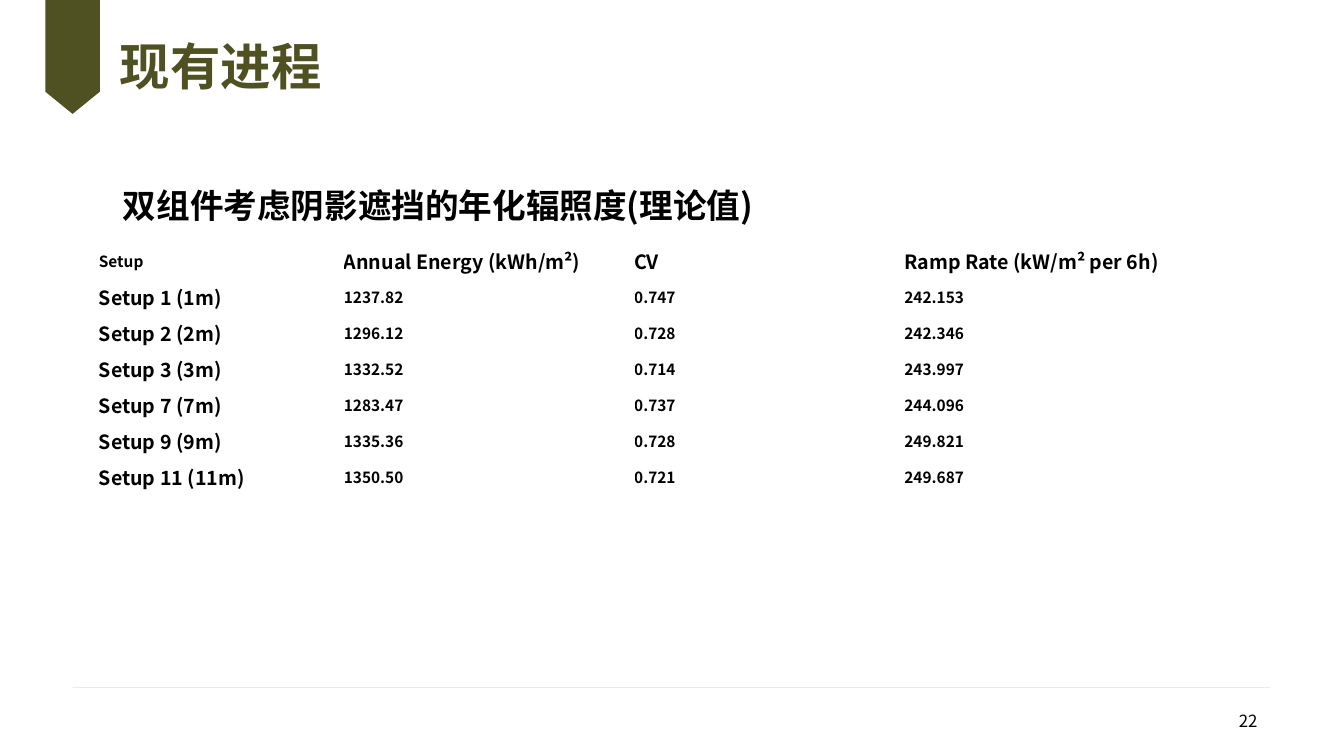
from lxml.etree import SubElement
from pptx import Presentation
from pptx.dml.color import RGBColor
from pptx.enum.shapes import MSO_CONNECTOR
from pptx.enum.text import MSO_ANCHOR, PP_ALIGN
from pptx.oxml.ns import qn
from pptx.util import Inches, Pt

FONT = "Noto Sans CJK SC"
COLORS = {"olive": "505122", "text": "000000", "rule": "BFBFBF"}


def rgb(name):
    return RGBColor.from_string(COLORS[name])


def write(tf, text, size=11, color="text", bold=True, align=PP_ALIGN.LEFT,
          anchor=MSO_ANCHOR.MIDDLE, spacing=None):
    tf.word_wrap = True
    tf.vertical_anchor = anchor
    p = tf.paragraphs[0]
    p.alignment = align
    if spacing:
        p.line_spacing = spacing
    r = p.add_run()
    r.text = text
    r.font.size = Pt(size)
    r.font.bold = bold
    r.font.color.rgb = rgb(color)
    r.font.name = FONT
    SubElement(r.font._element, qn("a:ea"), typeface=FONT)


class SlideBuilder:
    def __init__(self, slide):
        self.s = slide

    def text(self, box, text, inset=None, **style):
        tf = self.s.shapes.add_textbox(*map(Inches, box)).text_frame
        if inset is not None:
            tf.margin_left = tf.margin_right = Inches(inset)
            tf.margin_top = tf.margin_bottom = Inches(inset)
        write(tf, text, **style)

    def rule(self, x1, y1, x2, y2, width=0.25, alpha=47):
        line = self.s.shapes.add_connector(
            MSO_CONNECTOR.STRAIGHT, *map(Inches, (x1, y1, x2, y2)))
        line.line.width = Pt(width)
        line.line.color.rgb = rgb("rule")
        spPr = line._element.spPr
        color = spPr.find(".//" + qn("a:srgbClr"))
        SubElement(color, qn("a:alpha"), val=str(alpha * 1000))
        SubElement(spPr, qn("a:effectLst"))

    def polygon(self, points, color):
        start, *rest = [(Inches(x), Inches(y)) for x, y in points]
        fb = self.s.shapes.build_freeform(*start)
        fb.add_line_segments(rest, close=True)
        sp = fb.convert_to_shape()
        sp.shadow.inherit = False
        sp.fill.solid()
        sp.fill.fore_color.rgb = rgb(color)
        sp.line.fill.background()

    def table(self, left, top, widths, row_height, rows):
        frame = self.s.shapes.add_table(
            len(rows), len(widths), Inches(left), Inches(top),
            Inches(sum(widths)), Inches(row_height * len(rows)))
        table = frame.table
        table.first_row = table.horz_banding = False
        for column, width in zip(table.columns, widths):
            column.width = Inches(width)
        for i, row in enumerate(rows):
            table.rows[i].height = Inches(row_height)
            for j, value in enumerate(row):
                cell = table.cell(i, j)
                cell.fill.background()
                cell.margin_left = cell.margin_right = 0
                cell.margin_top = cell.margin_bottom = 0
                # Headings are larger, except in the corner cell
                heading = (i == 0) != (j == 0)
                write(cell.text_frame, value, size=14 if heading else 11)
                cell.vertical_anchor = MSO_ANCHOR.MIDDLE


    # Table frames take their text anchor from the cell


def main():
    prs = Presentation()
    prs.slide_width, prs.slide_height = Inches(13.33), Inches(7.5)
    b = SlideBuilder(prs.slides.add_slide(prs.slide_layouts[6]))

    # Footer rule and title ribbon
    b.rule(0.72, 6.82, 12.6, 6.82)
    b.polygon([(0.99, -0.11), (0.99, 0.91), (0.72, 1.13),
               (0.45, 0.91), (0.45, -0.11)], "olive")

    # Title and page number
    b.text((1.19, 0.26, 8.93, 0.86), "现有进程", inset=0, size=36,
           color="olive", spacing=0.9)
    b.text((9.57, 6.95, 3, 0.4), "22", size=12, bold=False,
           align=PP_ALIGN.RIGHT)

    # Results table
    b.table(0.98, 2.41, [2.43, 2.88, 2.68, 2.68], 0.357, [
        ("Setup", "Annual Energy (kWh/m²)", "CV", "Ramp Rate (kW/m² per 6h)"),
        ("Setup 1 (1m)", "1237.82", "0.747", "242.153"),
        ("Setup 2 (2m)", "1296.12", "0.728", "242.346"),
        ("Setup 3 (3m)", "1332.52", "0.714", "243.997"),
        ("Setup 7 (7m)", "1283.47", "0.737", "244.096"),
        ("Setup 9 (9m)", "1335.36", "0.728", "249.821"),
        ("Setup 11 (11m)", "1350.50", "0.721", "249.687"),
    ])

    # Table heading
    b.text((1.12, 1.83, 6.93, 0.42), "双组件考虑阴影遮挡的年化辐照度(理论值)",
           size=24, anchor=MSO_ANCHOR.TOP, spacing=0.9)

    prs.save("out.pptx")


if __name__ == "__main__":
    main()
